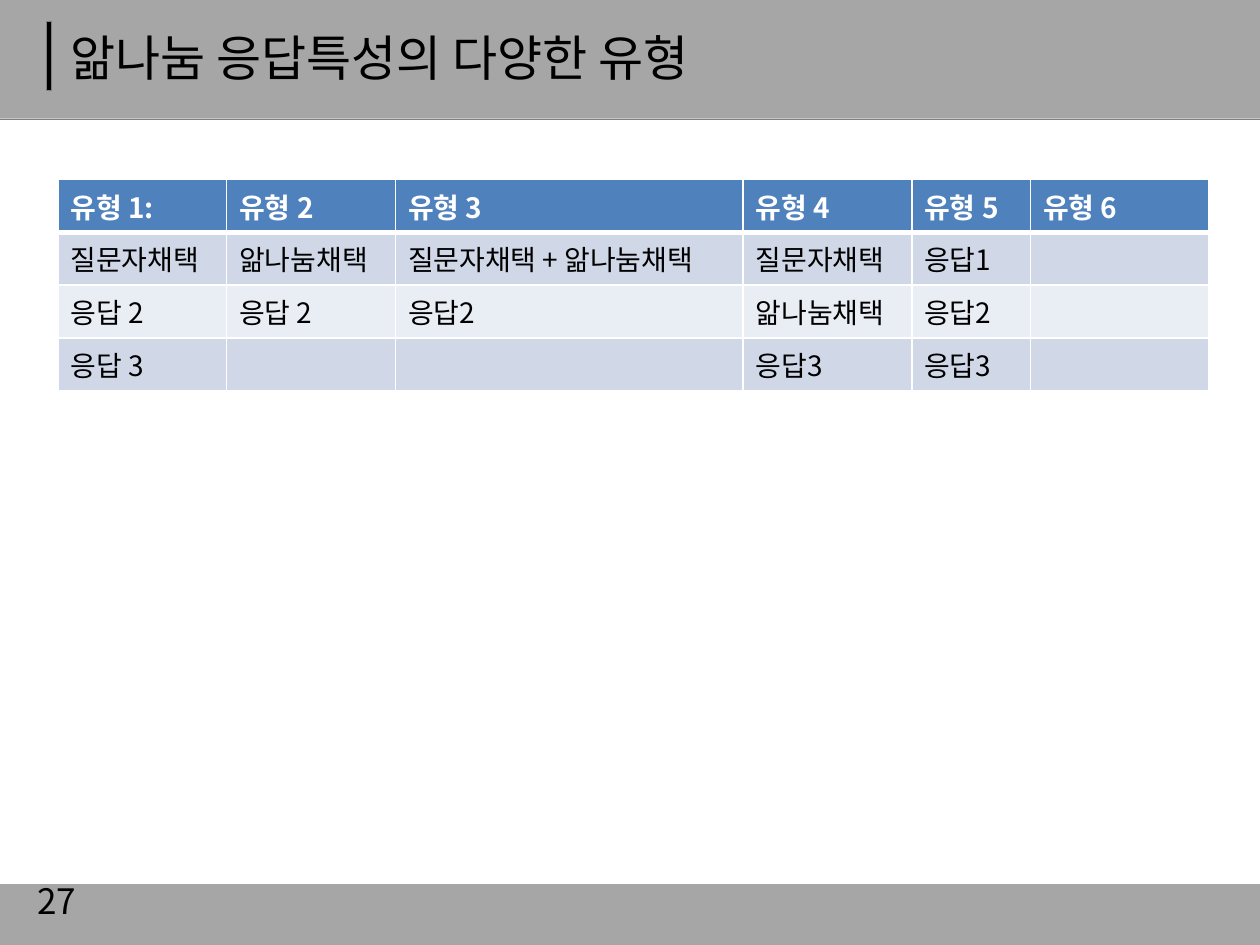
import dataclasses

import lxml.etree
import pptx
import pptx.dml.color
import pptx.enum.shapes
import pptx.enum.text
import pptx.oxml.ns
import pptx.util

Pt = pptx.util.Pt
RGB = pptx.dml.color.RGBColor
qn = pptx.oxml.ns.qn

FONT = "Noto Sans CJK KR"
BLACK = RGB(0x00, 0x00, 0x00)
WHITE = RGB(0xFF, 0xFF, 0xFF)
BAND_GRAY = RGB(0xA6, 0xA6, 0xA6)
LINE_GRAY = RGB(0x80, 0x80, 0x80)
HEADER_BLUE = RGB(0x4F, 0x81, 0xBD)
ROW_DARK = RGB(0xD0, 0xD8, 0xE8)
ROW_LIGHT = RGB(0xE9, 0xED, 0xF4)

WIDTH, HEIGHT = 720, 540
RULE_Y = 68.2
TABLE_LEFT, TABLE_TOP = 33.2, 102.5
ROW_HEIGHT = 30.2
COLUMN_WIDTHS = [96.4, 96.4, 198.7, 96.4, 67.9, 102]
ROWS = [
    ["유형 1:", "유형 2", "유형 3", "유형 4", "유형 5", "유형 6"],
    ["질문자채택", "앎나눔채택", "질문자채택 + 앎나눔채택", "질문자채택", "응답1", ""],
    ["응답 2", "응답 2", "응답2", "앎나눔채택", "응답2", ""],
    ["응답 3", "", "", "응답3", "응답3", ""],
]


@dataclasses.dataclass(frozen=True)
class Box:
    left: float
    top: float
    width: float
    height: float

    def lengths(self) -> list:
        return [Pt(v) for v in dataclasses.astuple(self)]


@dataclasses.dataclass(frozen=True)
class Bar:
    box: Box
    fill: RGB
    outlined: bool = False


@dataclasses.dataclass(frozen=True)
class Label:
    box: Box
    text: str
    size: float


BARS = [
    Bar(Box(0, -0.7, WIDTH, 68.5), BAND_GRAY),
    Bar(Box(26.6, 12.3, 2.8, 39.3), BLACK, outlined=True),
    Bar(Box(0, 505.2, WIDTH, 34.8), BAND_GRAY),
]
LABELS = [
    Label(Box(33.1, 10.1, 620.6, 44.6), "앎나눔 응답특성의 다양한 유형", 28),
    Label(Box(14.4, 500.4, 167.8, 28.8), "27", 20),
]


def write_text(tf, text: str, *, size: float, color: RGB = BLACK, bold: bool = False) -> None:
    r = tf.paragraphs[0].add_run()
    r.text = text
    r.font.name = FONT
    r.font.size = Pt(size)
    r.font.bold = bold
    r.font.color.rgb = color
    ea = lxml.etree.SubElement(r.font._element, qn("a:ea"))
    ea.set("typeface", FONT)


def draw_bar(s, bar: Bar) -> None:
    sp = s.shapes.add_shape(pptx.enum.shapes.MSO_SHAPE.RECTANGLE, *bar.box.lengths())
    sp.shadow.inherit = False
    sp.fill.solid()
    sp.fill.fore_color.rgb = bar.fill
    if bar.outlined:
        sp.line.color.rgb = LINE_GRAY
        sp.line.width = Pt(0.75)
    else:
        sp.line.fill.background()


def draw_rule(s) -> None:
    line = s.shapes.add_connector(
        pptx.enum.shapes.MSO_CONNECTOR.STRAIGHT, Pt(0), Pt(RULE_Y), Pt(WIDTH), Pt(RULE_Y)
    )
    line.line.color.rgb = LINE_GRAY
    line.line.width = Pt(0.75)
    lxml.etree.SubElement(line._element.spPr, qn("a:effectLst"))


def draw_label(s, label: Label) -> None:
    tf = s.shapes.add_textbox(*label.box.lengths()).text_frame
    tf.word_wrap = True
    tf.vertical_anchor = pptx.enum.text.MSO_ANCHOR.MIDDLE
    write_text(tf, label.text, size=label.size)


def set_borders(cell, bottom: float, top: float) -> None:
    """Give a cell white borders; they must come before its fill."""
    tc_pr = cell._tc.get_or_add_tcPr()
    for side, width in (("L", 1), ("R", 1), ("T", top), ("B", bottom)):
        ln = lxml.etree.SubElement(tc_pr, qn(f"a:ln{side}"), w=str(Pt(width)))
        fill = lxml.etree.SubElement(ln, qn("a:solidFill"))
        lxml.etree.SubElement(fill, qn("a:srgbClr"), val=str(WHITE))


def draw_table(s) -> None:
    box = Box(TABLE_LEFT, TABLE_TOP, sum(COLUMN_WIDTHS), ROW_HEIGHT * len(ROWS))
    table = s.shapes.add_table(len(ROWS), len(COLUMN_WIDTHS), *box.lengths()).table
    for column, width in zip(table.columns, COLUMN_WIDTHS):
        column.width = Pt(width)
    for i, texts in enumerate(ROWS):
        table.rows[i].height = Pt(ROW_HEIGHT)
        header = i == 0
        fill = HEADER_BLUE if header else ROW_DARK if i % 2 else ROW_LIGHT
        for j, text in enumerate(texts):
            cell = table.cell(i, j)
            set_borders(cell, bottom=3 if header else 1, top=3 if i == 1 else 1)
            cell.fill.solid()
            cell.fill.fore_color.rgb = fill
            if text:
                write_text(cell.text_frame, text, size=16,
                           color=WHITE if header else BLACK, bold=header)


def main() -> None:
    prs = pptx.Presentation()
    prs.slide_width, prs.slide_height = Pt(WIDTH), Pt(HEIGHT)
    s = prs.slides.add_slide(prs.slide_layouts[6])
    for bar in BARS:
        draw_bar(s, bar)
    draw_rule(s)
    for label in LABELS:
        draw_label(s, label)
    draw_table(s)
    prs.save("out.pptx")


if __name__ == "__main__":
    main()
